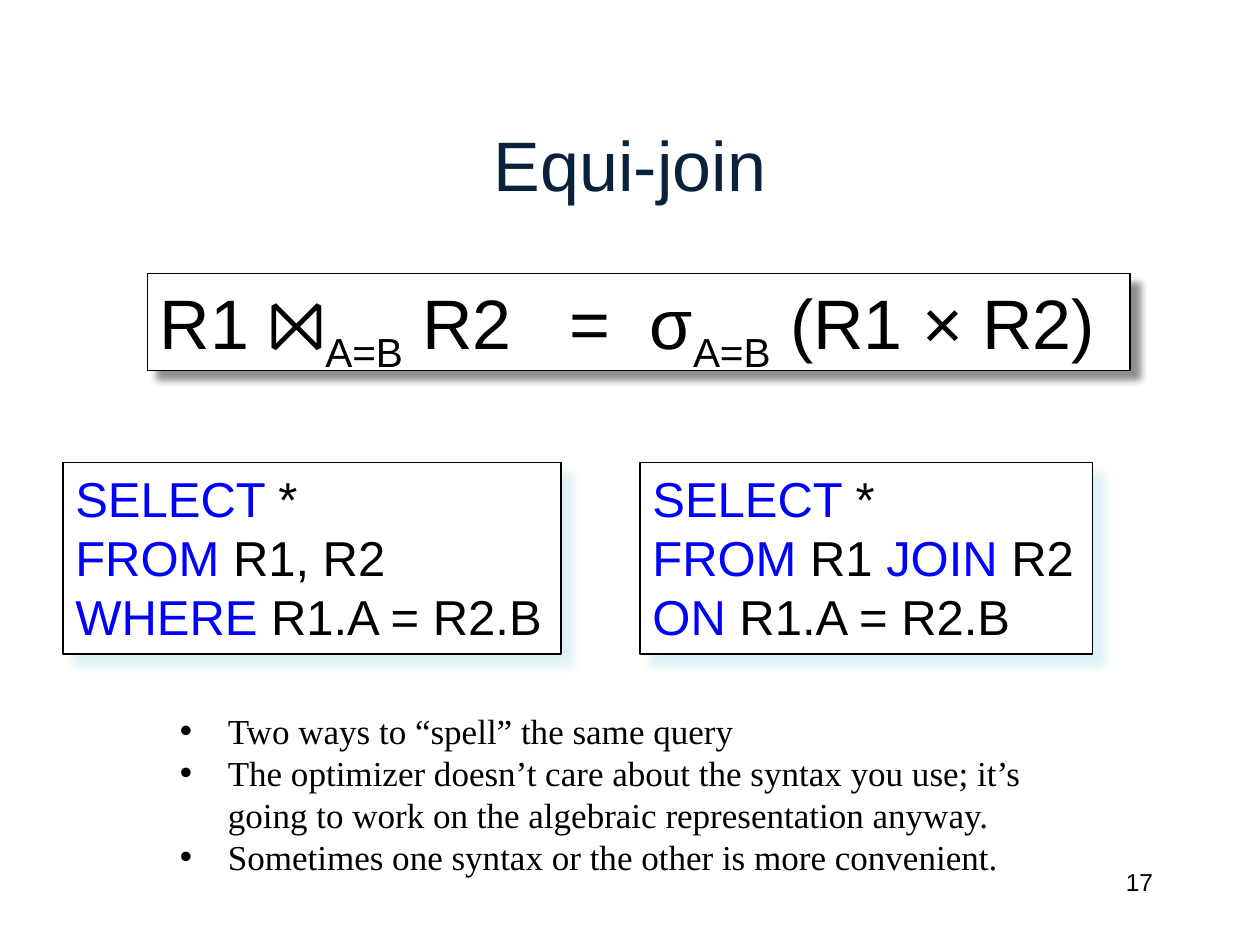
from lxml.etree import SubElement
from pptx import Presentation
from pptx.dml.color import RGBColor
from pptx.enum.shapes import MSO_SHAPE
from pptx.enum.text import MSO_ANCHOR, MSO_AUTO_SIZE, PP_ALIGN
from pptx.oxml.ns import qn
from pptx.util import Inches, Pt

BLACK, WHITE, NAVY, KEYWORD_BLUE = "000000", "FFFFFF", "09213B", "0000FF"
GRAY_SHADOW = (BLACK, 43, 4, 7)
PALE_SHADOW = ("D5EDF4", 75, 5, 8.5)


def color(hex_code):
    return RGBColor.from_string(hex_code)


class SlideWriter:
    sans = "Arial"
    serif = "Times New Roman"

    def __init__(self, slide):
        self.slide = slide

    def style(self, span, size, hex_code=BLACK, font=None):
        span.font.name = font or self.sans
        span.font.size = Pt(size)
        span.font.color.rgb = color(hex_code)

    def text(self, place, content, size, hex_code=BLACK, font=None, align=PP_ALIGN.LEFT):
        box = self.slide.shapes.add_textbox(*map(Inches, place))
        frame = box.text_frame
        frame.word_wrap = True
        frame.text = content
        for para in frame.paragraphs:
            para.alignment = align
            for span in para.runs:
                self.style(span, size, hex_code, font)
        return frame

    def bullets(self, place, items, size):
        frame = self.text(place, "\n".join(items), size, font=self.serif)
        frame.auto_size = MSO_AUTO_SIZE.SHAPE_TO_FIT_TEXT
        for para in frame.paragraphs:
            properties = para._p.get_or_add_pPr()
            properties.set("marL", str(Inches(0.38)))
            properties.set("indent", str(-Inches(0.38)))
            SubElement(properties, qn("a:buFont"), typeface=self.sans)
            SubElement(properties, qn("a:buChar"), char="•")

    def add_shadow(self, box, hex_code, opacity, blur, distance):
        """Cast a shadow to the lower right; opacity in percent, lengths in points."""
        box.shadow.inherit = False
        effects = box._element.spPr.find(qn("a:effectLst"))
        shadow = SubElement(
            effects, qn("a:outerShdw"), blurRad=str(Pt(blur)), dist=str(Pt(distance)),
            dir=str(45 * 60000), algn="tl", rotWithShape="0")
        tint = SubElement(shadow, qn("a:srgbClr"), val=hex_code)
        SubElement(tint, qn("a:alpha"), val=str(opacity * 1000))

    def framed_box(self, place, lines, size, line_width, shadow, marked):
        """Draw a box whose lines are lists of spans; marked(span, is_marked) styles them."""
        box = self.slide.shapes.add_shape(MSO_SHAPE.RECTANGLE, *map(Inches, place))
        box.fill.solid()
        box.fill.fore_color.rgb = color(WHITE)
        box.line.color.rgb = color(BLACK)
        box.line.width = Pt(line_width)
        self.add_shadow(box, *shadow)
        frame = box.text_frame
        frame.word_wrap = False
        frame.auto_size = MSO_AUTO_SIZE.SHAPE_TO_FIT_TEXT
        frame.vertical_anchor = MSO_ANCHOR.TOP
        for index, spans in enumerate(lines):
            para = frame.add_paragraph() if index else frame.paragraphs[0]
            para.alignment = PP_ALIGN.LEFT
            for content, is_marked in spans:
                span = para.add_run()
                span.text = content
                self.style(span, size)
                if is_marked:
                    marked(span)

    def formula(self, place, spans):
        def lower(span):
            span.font._element.set("baseline", "-25000")

        self.framed_box(place, [spans], 40, 0.75, GRAY_SHADOW, lower)

    def query(self, left, width, lines):
        def highlight(span):
            span.font.color.rgb = color(KEYWORD_BLUE)

        place = (left, 3.67, width, 1.52)
        self.framed_box(place, lines, 28, 1, PALE_SHADOW, highlight)


def main():
    deck = Presentation()
    deck.slide_width, deck.slide_height = Inches(10), Inches(7.5)
    page = SlideWriter(deck.slides.add_slide(deck.slide_layouts[6]))

    title = page.text((0.75, 0.67, 8.5, 1.25), "Equi-join", 40, NAVY, align=PP_ALIGN.CENTER)
    title.vertical_anchor = MSO_ANCHOR.MIDDLE
    page.text((7.17, 6.83, 2.08, 0.5), "17", 14, align=PP_ALIGN.RIGHT)

    condition = ("A=B", True)
    page.formula((1.17, 2.17, 7.8, 0.77), [
        ("R1 ⨝", False), condition, (" R2   =  σ", False), condition, (" (R1 × R2)", False)])

    select_line = [("SELECT ", True), ("*", False)]
    match = ("R1.A = R2.B", False)
    page.query(0.5, 3.95, [
        select_line,
        [("FROM ", True), ("R1, R2", False)],
        [("WHERE ", True), match]])
    page.query(5.08, 3.59, [
        select_line,
        [("FROM ", True), ("R1 ", False), ("JOIN", True), (" R2", False)],
        [("ON ", True), match]])

    page.bullets((1.33, 5.58, 7.17, 1.45), [
        "Two ways to “spell” the same query",
        "The optimizer doesn’t care about the syntax you use; it’s going to work "
        "on the algebraic representation anyway.",
        "Sometimes one syntax or the other is more convenient."], 20)

    deck.save("out.pptx")


if __name__ == "__main__":
    main()
